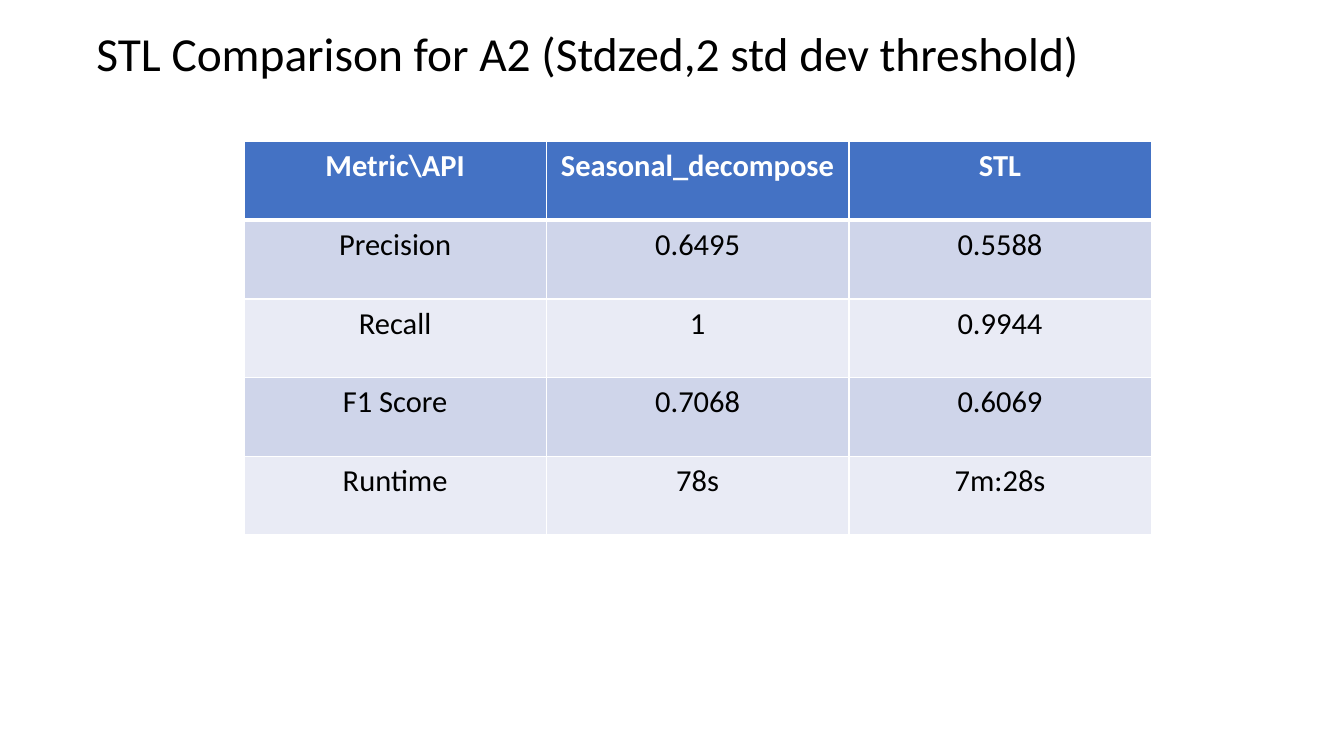
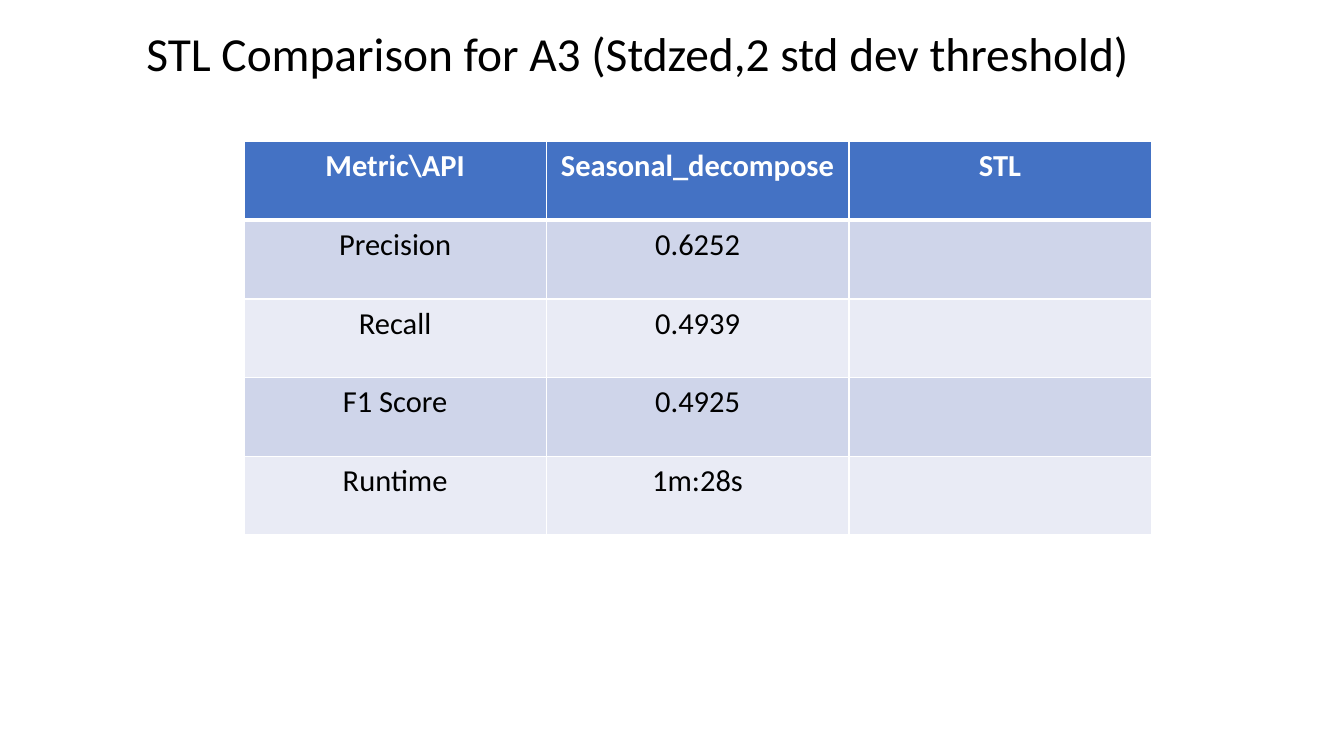
from lxml import etree
from pptx import Presentation
from pptx.dml.color import RGBColor
from pptx.enum import text
from pptx.oxml import ns
from pptx.util import Inches, Pt

WHITE, BLACK, HEADER_BLUE = "FFFFFF", "000000", "4472C4"
BANDS = ["E9EBF5", "CFD5EA"]
HEADER = ["Metric\\API", "Seasonal_decompose", "STL"]
METRICS = ["Precision", "Recall", "F1 Score", "Runtime"]
TITLE_RIGHT = 9.44

comparisons = [
    {"dataset": "A2", "title_left": 0.69,
     "decompose": ["0.6495", "1", "0.7068", "78s"],
     "stl": ["0.5588", "0.9944", "0.6069", "7m:28s"]},
    {"dataset": "A3", "title_left": 1.1,
     "decompose": ["0.6252", "0.4939", "0.4925", "1m:28s"],
     "stl": [""] * len(METRICS)},
]


def style_text(frame, size, color, align, bold=False):
    """Format the first paragraph of a text frame."""
    paragraph = frame.paragraphs[0]
    paragraph.alignment = align
    font_format = {"name": "Calibri", "size": Pt(size), "bold": bold}
    for attribute, value in font_format.items():
        setattr(paragraph.font, attribute, value)
        for run in paragraph.runs:
            setattr(run.font, attribute, value)
    for run in paragraph.runs:
        run.font.color.rgb = RGBColor.from_string(color)


def add_borders(cell, widths):
    """Draw white cell borders; widths maps each edge to points."""
    properties = cell._tc.get_or_add_tcPr()
    for position, (edge, width) in enumerate(widths.items()):
        line = etree.Element(ns.qn(f"a:ln{edge}"), w=str(Pt(width)))
        fill = etree.SubElement(line, ns.qn("a:solidFill"))
        etree.SubElement(fill, ns.qn("a:srgbClr"), val=WHITE)
        properties.insert(position, line)


deck = Presentation()
deck.slide_width, deck.slide_height = Inches(11.02), Inches(6.2)
title_only = deck.slide_layouts[5]

for comparison in comparisons:
    slide = deck.slides.add_slide(title_only)

    title = slide.shapes.title
    title_left = comparison["title_left"]
    title.left, title.top = Inches(title_left), Inches(0.15)
    title.width, title.height = Inches(TITLE_RIGHT - title_left), Inches(0.57)
    heading = title.text_frame
    heading.text = f"STL Comparison for {comparison['dataset']} (Stdzed,2 std dev threshold)"
    frame_format = {"word_wrap": True, "vertical_anchor": text.MSO_ANCHOR.TOP,
                    "auto_size": text.MSO_AUTO_SIZE.SHAPE_TO_FIT_TEXT}
    for attribute, value in frame_format.items():
        setattr(heading, attribute, value)
    style_text(heading, 28, BLACK, text.PP_ALIGN.LEFT)

    rows = [HEADER, *zip(METRICS, comparison["decompose"], comparison["stl"])]
    results = slide.shapes.add_table(len(rows), len(HEADER), Inches(2), Inches(1.16),
                                     Inches(7.44), Inches(3.23)).table
    for row_index, row in enumerate(rows):
        is_header = row_index == 0
        edges = {"L": 1, "R": 1, "T": 3 if row_index == 1 else 1, "B": 3 if is_header else 1}
        for column_index, value in enumerate(row):
            cell = results.cell(row_index, column_index)
            cell.text = value
            cell.fill.solid()
            cell.fill.fore_color.rgb = RGBColor.from_string(
                HEADER_BLUE if is_header else BANDS[row_index % 2])
            style_text(cell.text_frame, 18, WHITE if is_header else BLACK,
                       text.PP_ALIGN.CENTER, bold=is_header)
            add_borders(cell, edges)

deck.save("out.pptx")
